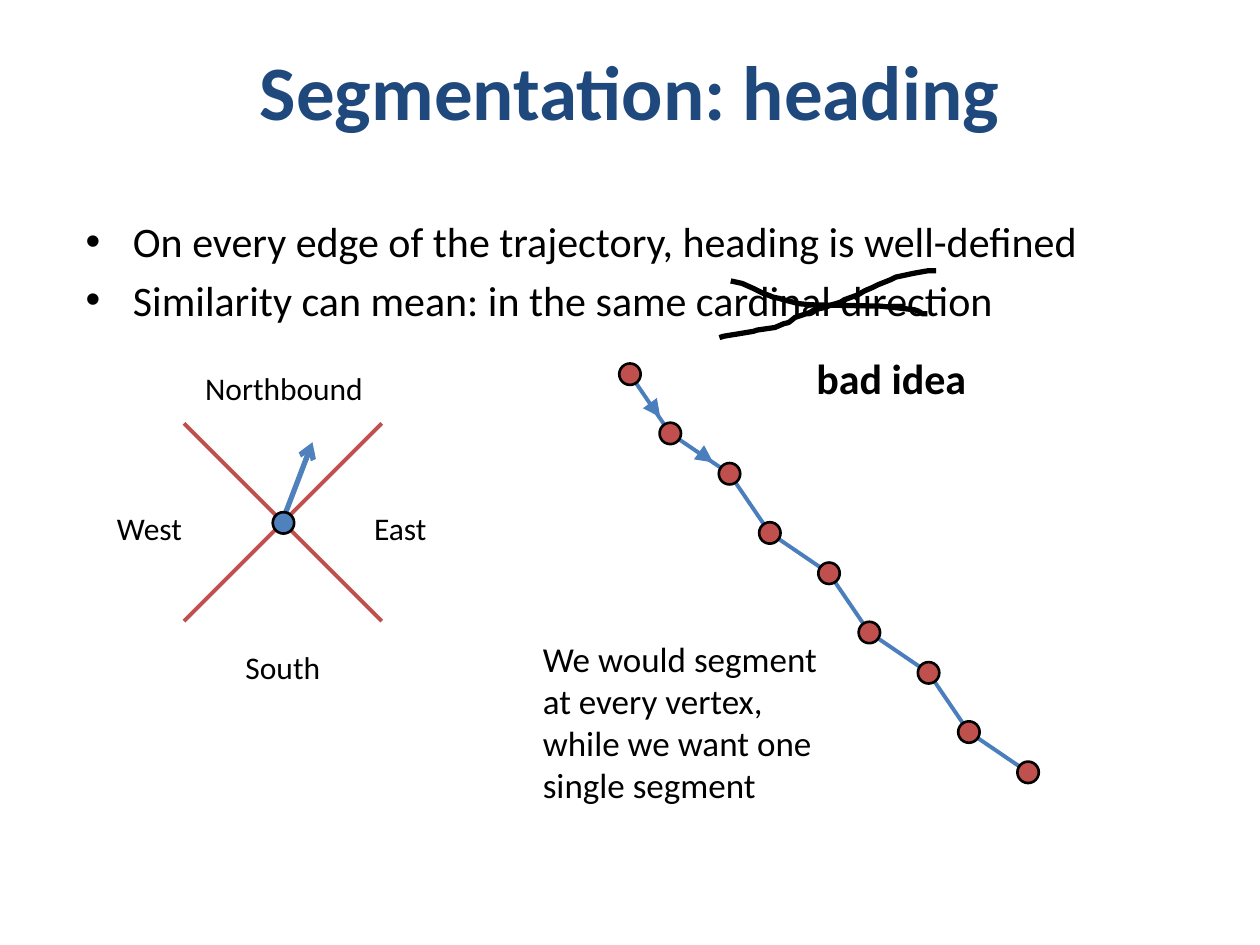
from dataclasses import dataclass

from lxml.etree import SubElement
from pptx import Presentation
from pptx.dml.color import RGBColor
from pptx.enum.shapes import MSO_CONNECTOR, MSO_SHAPE
from pptx.enum.text import MSO_AUTO_SIZE, PP_ALIGN
from pptx.oxml.ns import qn
from pptx.slide import Slide
from pptx.util import Inches, Pt

Point = tuple[float, float]


@dataclass(frozen=True)
class Theme:
    font: str = "Calibri"
    title: str = "1F497D"
    ink: str = "000000"
    red: str = "C0504D"
    blue: str = "4F81BD"
    path_blue: str = "4B7EBC"
    title_size: float = 44
    body_size: float = 24
    note_size: float = 20
    label_size: float = 18
    dot_size: float = 0.17


@dataclass(frozen=True)
class Label:
    text: str
    left: float
    top: float
    width: float
    height: float
    size: float
    bold: bool = False
    wrap: bool = False


@dataclass(frozen=True)
class Segment:
    start: Point
    end: Point
    color: str
    weight: float
    arrowhead: str = ""
    head_size: str = "med"


THEME = Theme()

COMPASS_LINES = [
    Segment((1.46, 3.36), (3.03, 4.93), THEME.red, 2.25),
    Segment((1.46, 4.93), (3.03, 3.36), THEME.red, 2.25),
    Segment((2.24, 4.14), (2.48, 3.51), THEME.blue, 3, "arrow"),
]
DIRECTION_ARROWS = [
    Segment((5.07, 3.08), (5.24, 3.31), THEME.path_blue, 0.75, "triangle", "lg"),
    Segment((5.45, 3.52), (5.66, 3.67), THEME.path_blue, 0.75, "triangle", "lg"),
]
LABELS = [
    Label("Northbound", 1.53, 2.88, 1.47, 0.4, THEME.label_size),
    Label("East", 2.87, 3.99, 0.62, 0.4, THEME.label_size),
    Label("West", 0.83, 3.99, 0.72, 0.4, THEME.label_size),
    Label("South", 1.85, 5.09, 0.8, 0.4, THEME.label_size),
    Label("We would segment \vat every vertex, \vwhile we want one single segment",
          4.21, 5.01, 2.44, 1.45, THEME.note_size, wrap=True),
    Label("bad idea", 6.38, 2.75, 1.41, 0.5, THEME.body_size, bold=True),
]
BULLETS = [
    "On every edge of the trajectory, heading is well-defined",
    "Similarity can mean: in the same cardinal direction",
]
RISING_STROKE = [
    (5.71, 2.68), (5.74, 2.67), (5.98, 2.63), (6.01, 2.62), (6.15, 2.6),
    (6.22, 2.57), (6.26, 2.56), (6.31, 2.52), (6.43, 2.48), (6.46, 2.46),
    (6.55, 2.44), (6.6, 2.42), (6.67, 2.4), (6.7, 2.38), (6.81, 2.34),
    (6.86, 2.31), (6.93, 2.28), (6.97, 2.26), (7.07, 2.22), (7.11, 2.2),
    (7.25, 2.17), (7.36, 2.15), (7.43, 2.15),
]
FALLING_STROKE = [
    (5.8, 2.23), (5.89, 2.25), (5.98, 2.29), (6.06, 2.33), (6.09, 2.34),
    (6.14, 2.36), (6.19, 2.37), (6.22, 2.38), (6.3, 2.4), (6.33, 2.41),
    (6.44, 2.42), (6.98, 2.43), (7.09, 2.44), (7.26, 2.46), (7.29, 2.47),
    (7.32, 2.49), (7.36, 2.49),
]


def trajectory_vertices() -> list[Point]:
    stride = 0.79
    pairs = [[(5 + stride * step, 2.97 + stride * step),
              (5.32 + stride * step, 3.44 + stride * step)] for step in range(5)]
    return [vertex for pair in pairs for vertex in pair][:9]


def style_paragraph(para, size: float, color: str, bold: bool = False) -> None:
    para.font.name = THEME.font
    para.font.size = Pt(size)
    para.font.bold = bold
    para.font.color.rgb = RGBColor.from_string(color)


def place(shape, left: float, top: float, width: float, height: float) -> None:
    shape.left, shape.top = Inches(left), Inches(top)
    shape.width, shape.height = Inches(width), Inches(height)


def style_line(line, color: str, weight: float) -> None:
    line.color.rgb = RGBColor.from_string(color)
    line.width = Pt(weight)


def fill_placeholders(page: Slide) -> None:
    title = page.shapes.title
    place(title, 0.5, 0.3, 9, 0.83)
    title.text_frame.text = "Segmentation: heading"
    title.text_frame.auto_size = MSO_AUTO_SIZE.NONE
    heading = title.text_frame.paragraphs[0]
    heading.alignment = PP_ALIGN.CENTER
    style_paragraph(heading, THEME.title_size, THEME.title, bold=True)

    body = page.placeholders[1]
    place(body, 0.58, 1.66, 9, 1.34)
    body.text_frame.text = "\n".join(BULLETS)
    body.text_frame.auto_size = MSO_AUTO_SIZE.NONE
    for para in body.text_frame.paragraphs:
        style_paragraph(para, THEME.body_size, THEME.ink)


def draw_label(page: Slide, label: Label) -> None:
    box = page.shapes.add_textbox(Inches(label.left), Inches(label.top),
                                  Inches(label.width), Inches(label.height))
    box.text_frame.text = label.text
    box.text_frame.word_wrap = label.wrap
    box.text_frame.auto_size = MSO_AUTO_SIZE.SHAPE_TO_FIT_TEXT
    style_paragraph(box.text_frame.paragraphs[0], label.size, THEME.ink, label.bold)


def draw_segment(page: Slide, segment: Segment) -> None:
    ends = [Inches(value) for value in (*segment.start, *segment.end)]
    connector = page.shapes.add_connector(MSO_CONNECTOR.STRAIGHT, *ends)
    style_line(connector.line, segment.color, segment.weight)
    if segment.arrowhead:
        SubElement(connector.line._get_or_add_ln(), qn("a:tailEnd"),
                   type=segment.arrowhead, w=segment.head_size, len=segment.head_size)
    SubElement(connector._element.spPr, qn("a:effectLst"))


def draw_dot(page: Slide, center: Point, color: str) -> None:
    size = THEME.dot_size
    dot = page.shapes.add_shape(MSO_SHAPE.OVAL, Inches(center[0] - size / 2),
                                Inches(center[1] - size / 2), Inches(size), Inches(size))
    dot.shadow.inherit = False
    dot.fill.solid()
    dot.fill.fore_color.rgb = RGBColor.from_string(color)
    style_line(dot.line, THEME.ink, 1.5)


def draw_polyline(page: Slide, points: list[Point], color: str, weight: float) -> None:
    start, *rest = [(Inches(x), Inches(y)) for x, y in points]
    builder = page.shapes.build_freeform(*start)
    builder.add_line_segments(rest, close=False)
    outline = builder.convert_to_shape()
    outline.shadow.inherit = False
    outline.fill.background()
    style_line(outline.line, color, weight)


def main() -> None:
    deck = Presentation()
    deck.slide_width, deck.slide_height = Inches(10), Inches(7.5)
    page = deck.slides.add_slide(deck.slide_layouts[1])
    vertices = trajectory_vertices()

    fill_placeholders(page)
    draw_polyline(page, vertices, THEME.path_blue, 2.25)
    for segment in COMPASS_LINES + DIRECTION_ARROWS:
        draw_segment(page, segment)
    for vertex in vertices:
        draw_dot(page, vertex, THEME.red)
    draw_dot(page, (2.25, 4.15), THEME.blue)
    for stroke in (RISING_STROKE, FALLING_STROKE):
        draw_polyline(page, stroke, THEME.ink, 3)
    for label in LABELS:
        draw_label(page, label)
    deck.save("out.pptx")


if __name__ == "__main__":
    main()
